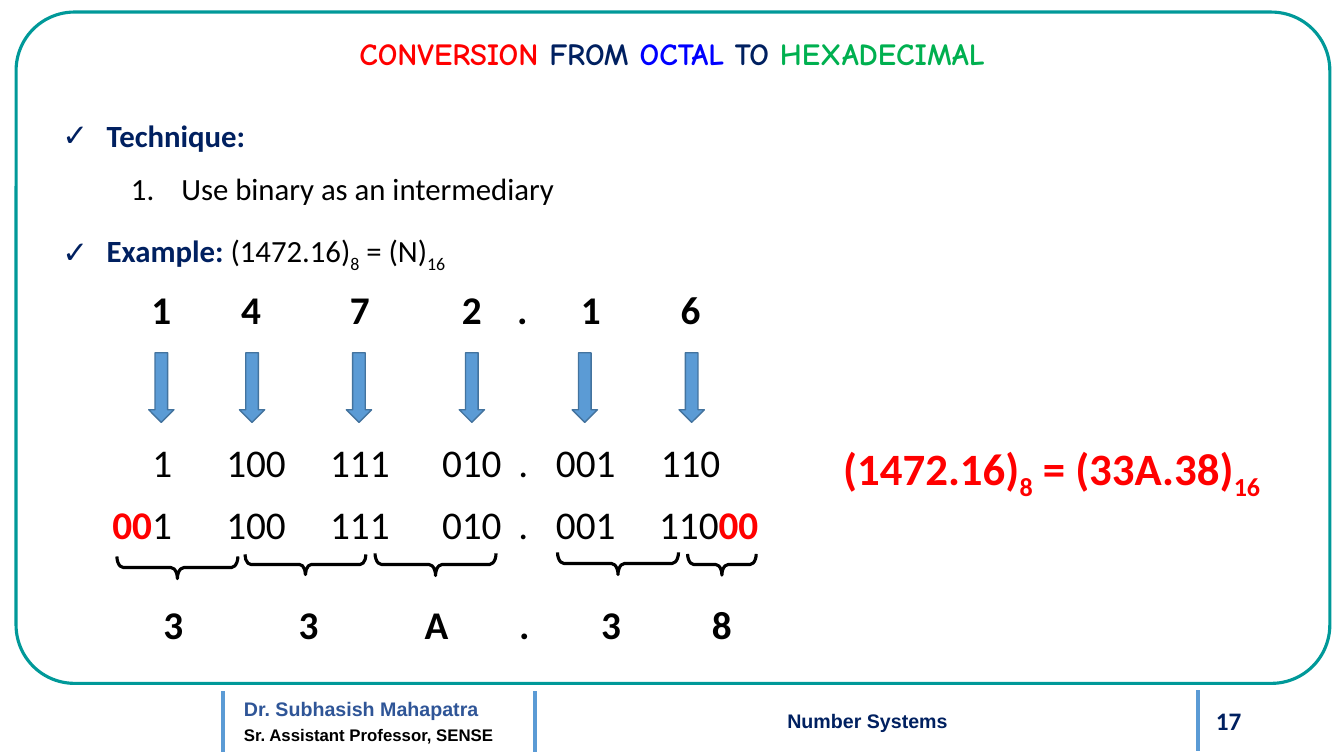
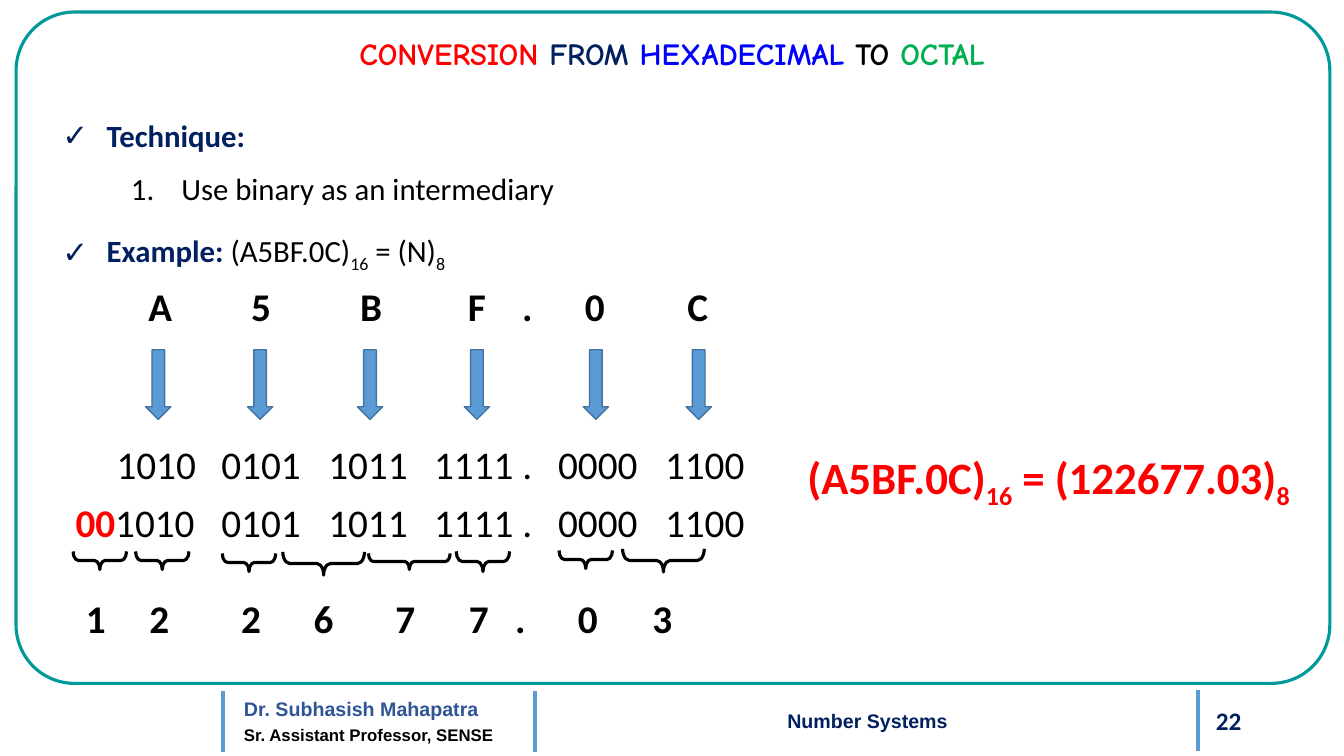
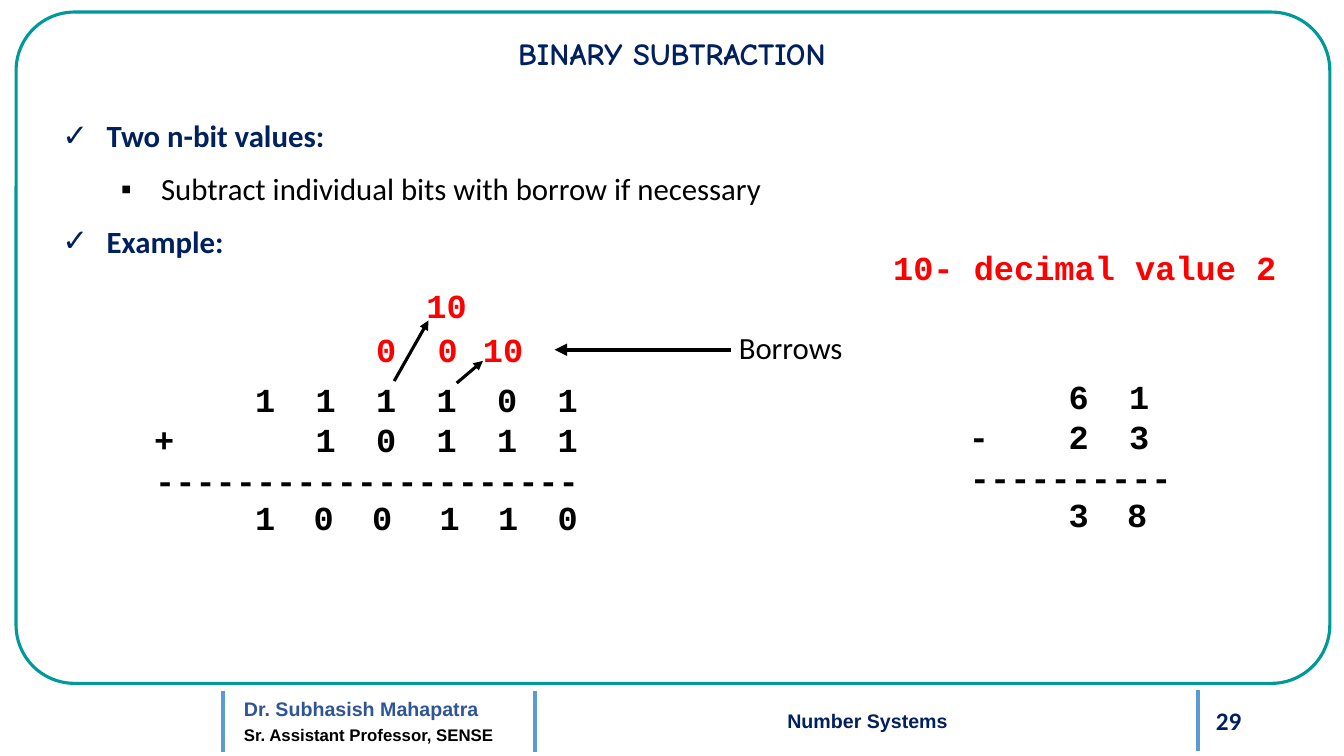
from lxml.etree import SubElement
from pptx import Presentation
from pptx.dml.color import RGBColor
from pptx.enum.shapes import MSO_CONNECTOR, MSO_SHAPE
from pptx.enum.text import MSO_ANCHOR, MSO_AUTO_SIZE, PP_ALIGN
from pptx.oxml.ns import qn
from pptx.util import Inches, Pt

# Shared colours and fonts
WHITE = RGBColor(0xFF, 0xFF, 0xFF)
BLACK = RGBColor(0, 0, 0)
NAVY = RGBColor(0x00, 0x20, 0x60)
TEAL = RGBColor(0x00, 0x99, 0x99)
AUTHOR_BLUE = RGBColor(0x2F, 0x55, 0x97)
ACCENT = RGBColor(0x5B, 0x9B, 0xD5)
ARROW_EDGE = RGBColor(0x43, 0x73, 0x9E)
RED = RGBColor(0xFF, 0, 0)
BLUE = RGBColor(0, 0, 0xFF)
GREEN = RGBColor(0x00, 0xB0, 0x50)
BODY, HEADING, FOOTER, MONO = "Calibri", "Comic Neue", "Arial", "Courier New"

CODE = dict(font=MONO, size=24, bold=True)
TICK = dict(bullet="✓", margin=0.44, hang=0.44, after=6)
SQUARE = dict(bullet="▪", margin=0.98, hang=0.4, after=6)
NUMBER = dict(bullet="1.", margin=1.18, hang=0.5, after=12)


# Text
def add_run(p, text, size=22, font=BODY, color=BLACK, bold=False, sub=False):
    r = p.add_run()
    r.text = text
    r.font.size, r.font.name, r.font.bold = Pt(size), font, bold
    r.font.color.rgb = color
    if sub:
        r._r.get_or_add_rPr().set("baseline", "-25000")


def add_runs(p, runs, **fmt):
    """Runs are a string, or a list of (text, format changes)."""
    for text, changes in [(runs, {})] if isinstance(runs, str) else runs:
        add_run(p, text, **{**fmt, **changes})


def add_text(s, x, y, w, h, paragraphs, align=PP_ALIGN.LEFT,
             anchor=MSO_ANCHOR.TOP, spacing=1.0, **fmt):
    tf = s.shapes.add_textbox(Inches(x), Inches(y), Inches(w), Inches(h)).text_frame
    tf.word_wrap, tf.vertical_anchor = True, anchor
    for i, runs in enumerate(paragraphs):
        p = tf.paragraphs[0] if i == 0 else tf.add_paragraph()
        p.alignment, p.line_spacing = align, spacing
        add_runs(p, runs, **fmt)
    return tf


def set_bullet(p, bullet, margin, hang, after):
    p.space_after = Pt(after)
    pPr = p._p.get_or_add_pPr()
    pPr.set("marL", str(Inches(margin)))
    pPr.set("indent", str(-Inches(hang)))
    if bullet == "1.":
        SubElement(pPr, qn("a:buFont"), typeface=BODY)
        SubElement(pPr, qn("a:buAutoNum"), type="arabicPeriod")
    else:
        SubElement(pPr, qn("a:buFont"), typeface=FOOTER)
        SubElement(pPr, qn("a:buChar"), char=bullet)


def add_outline(s, items):
    """Items are (runs, bullet style)."""
    tf = add_text(s, 0.52, 1.04, 12.29, 2.1, [runs for runs, _ in items], spacing=1.2)
    for p, (_, style) in zip(tf.paragraphs, items):
        set_bullet(p, **style)


def add_rows(s, y, *rows, left=0.5, width=7.5, **fmt):
    """Rows of {centre x: runs}, each cell centred on its own tab stop."""
    tf = add_text(s, left, y, width, 0.1 + 0.4 * len(rows), [""] * len(rows), **fmt)
    tf.margin_left = tf.margin_right = 0
    for p, row in zip(tf.paragraphs, rows):
        p.clear()
        tabs = SubElement(p._p.get_or_add_pPr(), qn("a:tabLst"))
        for x, runs in row.items():
            SubElement(tabs, qn("a:tab"), pos=str(Inches(x - left)), algn="ctr")
            add_run(p, "\t", **fmt)
            add_runs(p, runs, **fmt)


def based(number, base):
    return [(number, {}), (base, dict(sub=True))]


def label(text):
    return (text, dict(color=NAVY, bold=True))


# Shapes
def add_shape(s, kind, x, y, w, h, fill=None, line=BLACK, weight=2.25):
    sp = s.shapes.add_shape(kind, Inches(x), Inches(y), Inches(w), Inches(h))
    sp.shadow.inherit = False
    if fill is None:
        sp.fill.background()
    else:
        sp.fill.solid()
        sp.fill.fore_color.rgb = fill
    sp.line.color.rgb, sp.line.width = line, Pt(weight)
    return sp


def add_line(s, x1, y1, x2, y2, color=BLACK, weight=2.25, arrow=False):
    line = s.shapes.add_connector(MSO_CONNECTOR.STRAIGHT, Inches(x1), Inches(y1),
                                  Inches(x2), Inches(y2))
    line.line.color.rgb, line.line.width = color, Pt(weight)
    if arrow:
        SubElement(line.line._get_or_add_ln(), qn("a:tailEnd"), type="triangle")
    SubElement(line._element.spPr, qn("a:effectLst"))


def add_down_arrows(s, y, centres):
    for x in centres:
        add_shape(s, MSO_SHAPE.DOWN_ARROW, x - 0.125, y, 0.25, 0.69, ACCENT, ARROW_EDGE, 1)


def add_braces(s, braces):
    """Braces are (centre x, centre y, span, depth), opening upwards."""
    for x, y, span, depth in braces:
        sp = add_shape(s, MSO_SHAPE.LEFT_BRACE, x - depth / 2, y - span / 2, depth, span)
        sp.adjustments[0] = 0.292
        sp.rotation = 270


# Frame, title and footer of every slide
def add_slide(prs, number, title):
    s = prs.slides.add_slide(prs.slide_layouts[5])
    frame = add_shape(s, MSO_SHAPE.ROUNDED_RECTANGLE, 0.16, 0.12, 13.03, 6.66, WHITE, TEAL)
    frame.adjustments[0] = 0.087
    add_text(s, 2.32, 6.82, 3.35, 0.63,
             [[("Dr. Subhasish Mahapatra", dict(size=14, color=AUTHOR_BLUE))],
              "Sr. Assistant Professor, SENSE"],
             spacing=1.2, size=12, font=FOOTER, bold=True)
    add_text(s, 11.04, 6.95, 1.37, 0.4, [str(number)], PP_ALIGN.RIGHT, MSO_ANCHOR.MIDDLE,
             size=18, color=NAVY, bold=True)
    add_text(s, 5.96, 6.98, 5.29, 0.34, ["Number Systems"], PP_ALIGN.CENTER,
             size=14, font=FOOTER, color=NAVY, bold=True)
    for x, y in ((2.21, 6.86), (5.31, 6.86), (11.88, 6.85)):
        add_line(s, x, y, x, y + 0.6, ACCENT, 3)

    sp = s.shapes.title
    sp.left, sp.top, sp.width, sp.height = map(Inches, (0.52, 0.29, 12.29, 0.47))
    tf = sp.text_frame
    tf.auto_size, tf.vertical_anchor = MSO_AUTO_SIZE.NONE, MSO_ANCHOR.TOP
    tf.paragraphs[0].alignment = PP_ALIGN.CENTER
    add_runs(tf.paragraphs[0], title, size=22, font=HEADING, color=NAVY, bold=True)
    sp.element.getparent().append(sp.element)  # in front of the frame
    return s


def add_conversion(prs, number, title, source, target, answer, answer_at, arrow_y,
                   arrows, rows, braces):
    """Rows are (top, bold, cells)."""
    s = add_slide(prs, number, title)
    add_outline(s, [
        ([label("Technique:")], TICK),
        ("Use binary as an intermediary", NUMBER),
        ([label("Example: "), *based(*source), (" = ", {}), *based("(N)", target)], TICK),
    ])
    add_text(s, *answer_at, 5.12, 0.64,
             [[*based(*source), (" = ", {}), *based(answer, target)]],
             PP_ALIGN.CENTER, size=32, color=RED, bold=True)
    add_down_arrows(s, arrow_y, arrows)
    for y, bold, cells in rows:
        add_rows(s, y, cells, size=28, bold=bold)
    add_braces(s, braces)


def add_octal_to_hex(prs):
    bits = {2.54: "100", 3.57: "111", 4.68: "010", 5.19: ".", 5.81: "001"}
    pad = ("00", dict(color=RED, bold=True))
    add_conversion(
        prs, 17,
        [("CONVERSION", dict(color=RED)), (" FROM ", {}), ("OCTAL", dict(color=BLUE)),
         (" TO ", {}), ("HEXADECIMAL", dict(color=GREEN))],
        ("(1472.16)", "8"), "16", "(33A.38)", (7.87, 4.32),
        3.5, (1.6, 2.5, 3.56, 4.68, 5.8, 6.86),
        [(2.78, True, {1.6: "1", 2.49: "4", 3.57: "7", 4.68: "2", 5.18: ".",
                       5.86: "1", 6.85: "6"}),
         (4.3, False, {1.61: "1", **bits, 6.85: "110"}),
         (4.91, False, {1.41: [pad, ("1", {})], **bits, 7.03: [("110", {}), pad]}),
         (5.91, True, {1.72: "3", 3.06: "3", 4.33: "A", 5.2: ".", 6.06: "3", 7.16: "8"})],
        [(1.76, 5.63, 1.2, 0.22), (3.03, 5.6, 1.2, 0.2), (4.32, 5.6, 1.2, 0.22),
         (6.13, 5.59, 1.2, 0.22), (7.16, 5.6, 0.68, 0.21)])


def add_hex_to_octal(prs):
    bits = {2.59: "0101", 3.65: "1011", 4.7: "1111", 5.23: ".", 5.93: "0000", 6.99: "1100"}
    add_conversion(
        prs, 22,
        [("CONVERSION", dict(color=RED)), (" FROM ", {}), ("HEXADECIMAL ", dict(color=BLUE)),
         ("TO", dict(color=BLACK)), (" OCTAL", dict(color=GREEN))],
        ("(A5BF.0C)", "16"), "8", "(122677.03)", (7.84, 4.41),
        3.47, (1.57, 2.58, 3.67, 4.73, 5.91, 6.93),
        [(2.75, True, {1.59: "A", 2.59: "5", 3.68: "B", 4.73: "F", 5.23: ".",
                       5.9: "0", 6.92: "C"}),
         (4.32, False, {1.55: "1010", **bits}),
         (4.89, False, {1.34: [("00", dict(color=RED, bold=True)), ("1010", {})], **bits}),
         (5.85, True, {0.95: "1", 1.58: "2", 2.49: "2", 3.21: "6", 4.02: "7", 4.75: "7",
                       5.16: ".", 5.83: "0", 6.57: "3"})],
        [(0.99, 5.56, 0.53, 0.18), (1.61, 5.56, 0.53, 0.18), (2.47, 5.58, 0.53, 0.18),
         (3.21, 5.59, 0.81, 0.23), (4.06, 5.57, 0.81, 0.16), (4.79, 5.57, 0.53, 0.2),
         (5.81, 5.55, 0.53, 0.18), (6.58, 5.56, 0.81, 0.23)])


def add_subtraction(prs):
    s = add_slide(prs, 29, "BINARY SUBTRACTION")
    add_outline(s, [
        ([label("Two n-bit values:")], TICK),
        ("Subtract individual bits with borrow if necessary", SQUARE),
        ([label("Example:")], TICK),
    ])

    # Binary sum, with its borrows above
    columns = [2.63 + 0.6 * i for i in range(6)]
    binary = dict(left=1.4, width=4.6, **CODE)
    add_rows(s, 2.78, {4.43: "10"}, color=RED, **binary)
    add_rows(s, 3.21, {3.83: "0", 4.44: "0", 4.99: "10"}, color=RED, **binary)
    add_rows(s, 3.71, dict(zip(columns, "111101")),
             {1.63: "+", **dict(zip(columns[1:], "10111"))}, {3.64: "-" * 21}, **binary)
    add_rows(s, 4.88, dict(zip((2.63, 3.21, 3.79, 4.46, 5.04, 5.63), "100110")), **binary)
    add_text(s, 7.23, 3.21, 1.24, 0.47, ["Borrows"])
    add_line(s, 7.25, 3.47, 5.5, 3.47, weight=3, arrow=True)
    add_line(s, 4.53, 3.8, 4.79, 3.58, arrow=True)
    add_line(s, 3.91, 3.78, 4.25, 3.18, arrow=True)

    # The same sum in decimal
    decimal = dict(left=9.5, width=2.3, **CODE)
    add_rows(s, 3.68, {10.7: "6", 11.3: "1"}, {9.71: "-", 10.7: "2", 11.3: "3"},
             {10.62: "-" * 10}, **decimal)
    add_rows(s, 4.85, {10.7: "3", 11.28: "8"}, **decimal)
    add_text(s, 8.76, 2.4, 4.1, 0.5, ["10- decimal value 2"], color=RED, **CODE)


def main():
    prs = Presentation()
    prs.slide_width, prs.slide_height = Inches(13.33), Inches(7.5)
    add_octal_to_hex(prs)
    add_hex_to_octal(prs)
    add_subtraction(prs)
    prs.save("out.pptx")


if __name__ == "__main__":
    main()
